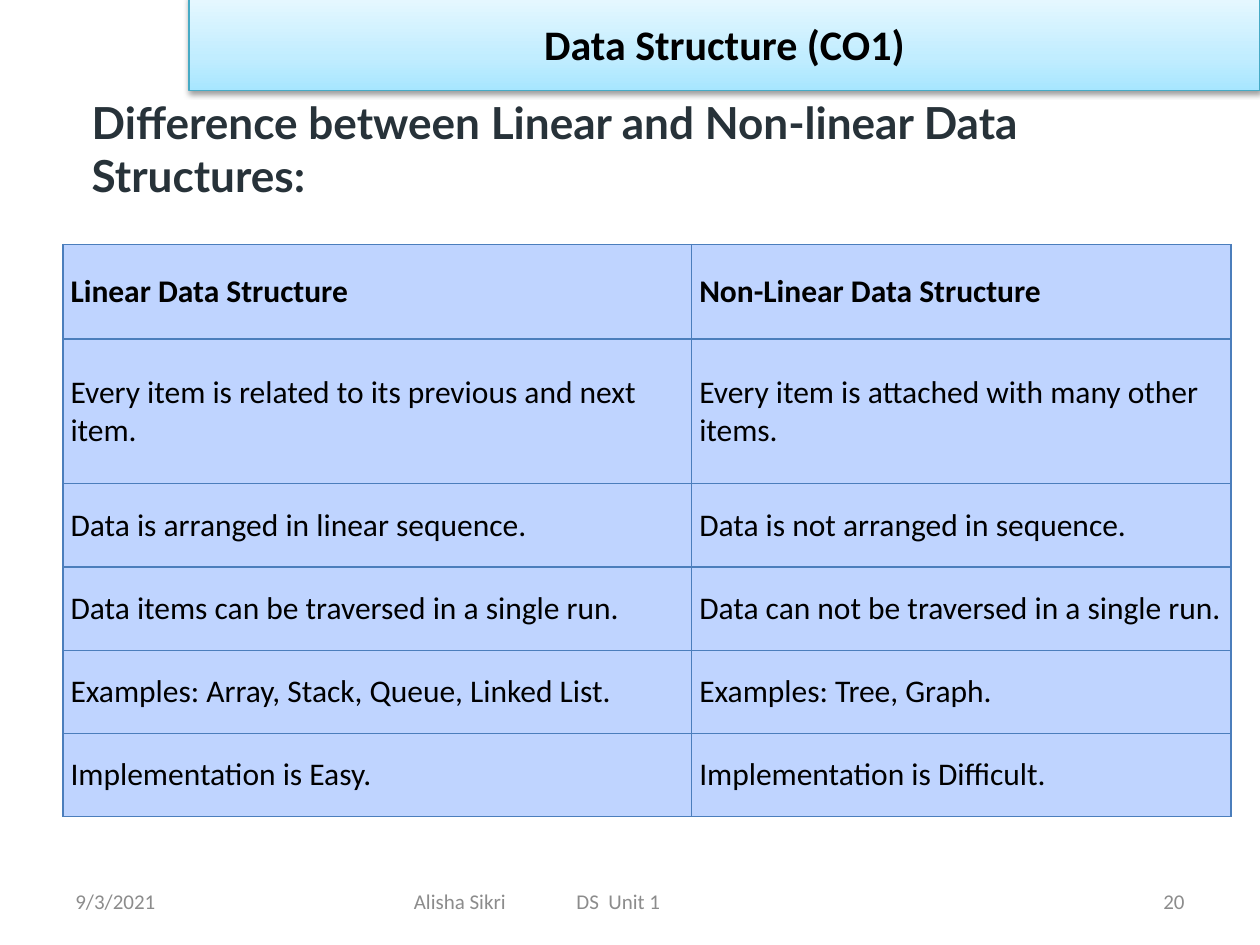
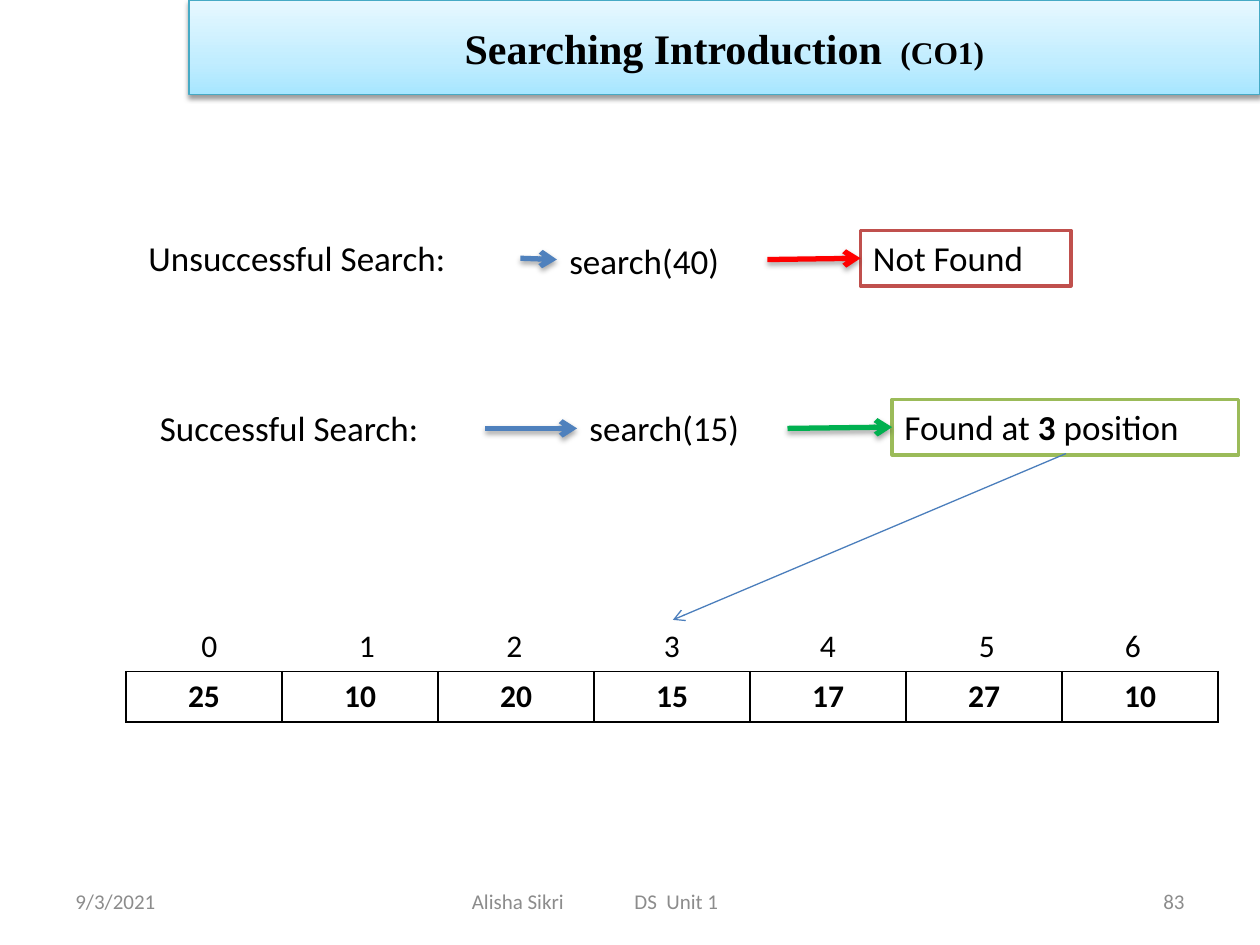
from copy import deepcopy
from dataclasses import dataclass

from lxml.etree import SubElement
from pptx import Presentation
from pptx.dml.color import RGBColor
from pptx.enum.shapes import MSO_CONNECTOR, MSO_SHAPE
from pptx.enum.text import MSO_ANCHOR, PP_ALIGN
from pptx.oxml.ns import qn
from pptx.util import Inches, Pt


@dataclass(frozen=True)
class Theme:
    """Colours, fonts and type sizes of the deck."""
    ink: str = "000000"
    heading: str = "273239"
    muted: str = "8C8C8C"
    white: str = "FFFFFF"
    blue: str = "4F81BD"
    thin_blue: str = "4B7EBC"
    red: str = "FF0000"
    green: str = "00B050"
    red_frame: str = "C0504D"
    green_frame: str = "9BBB59"
    cell: str = "BFD4FF"
    band_line: str = "46AAC5"
    band_stops: tuple = ((0, "A7E6FF"), (0.35, "C1EDFF"), (1, "E7F8FF"))
    body_font: str = "Calibri"
    heading_font: str = "Lato"
    serif_font: str = "Times New Roman"
    band_size: float = 24
    heading_size: float = 25.2
    label_size: float = 20
    table_size: float = 18
    footer_size: float = 12


THEME = Theme()


def write(frame, text, size=THEME.label_size, font=THEME.body_font, color=THEME.ink,
          bold=False, align=PP_ALIGN.LEFT, anchor=MSO_ANCHOR.TOP, tab=None):
    """Write a string, or (text, overrides) runs, as one formatted paragraph."""
    frame.word_wrap = True
    frame.vertical_anchor = anchor
    paragraph = frame.paragraphs[0]
    paragraph.alignment = align
    if tab:
        tabs = SubElement(paragraph._p.get_or_add_pPr(), qn("a:tabLst"))
        SubElement(tabs, qn("a:tab"), pos=str(Inches(tab)), algn="l")
    base = {"size": size, "font": font, "color": color, "bold": bold}
    for words, overrides in [(text, {})] if isinstance(text, str) else text:
        style = {**base, **overrides}
        run = paragraph.add_run()
        run.text = words
        run.font.size = Pt(style["size"])
        run.font.name = style["font"]
        run.font.bold = style["bold"]
        run.font.color.rgb = RGBColor.from_string(style["color"])


def add_shadow(effects, alpha, distance):
    """Put a soft black shadow below the element."""
    shadow = SubElement(effects, qn("a:outerShdw"), blurRad=str(Pt(3.1)),
                        dist=str(Pt(distance)), dir="5400000", rotWithShape="0")
    color = SubElement(shadow, qn("a:srgbClr"), val=THEME.ink)
    SubElement(color, qn("a:alpha"), val=str(alpha * 1000))


def set_borders(cell, color, width):
    """Draw the four borders of a table cell."""
    properties = cell._tc.get_or_add_tcPr()
    for side in ("lnL", "lnR", "lnT", "lnB"):
        line = SubElement(properties, qn(f"a:{side}"), w=str(Pt(width)))
        fill = SubElement(line, qn("a:solidFill"))
        SubElement(fill, qn("a:srgbClr"), val=color)


class Deck:
    """The presentation, its theme and the current slide."""

    def __init__(self, theme):
        """Start an empty 10 by 7.5 inch presentation."""
        self.theme = theme
        self.presentation = Presentation()
        self.presentation.slide_width = Inches(10)
        self.presentation.slide_height = Inches(7.5)
        self.slide = None

    def new_slide(self, title, number, top=0, footer_left=3.08, footer_width=3.5, **style):
        """Add a slide with its title band and footer."""
        layout = self.presentation.slide_layouts[6]
        self.slide = self.presentation.slides.add_slide(layout)
        self.band(title, top, **style)
        self.footer(number, footer_left, footer_width)

    def text(self, text, left, top, width, height, **style):
        """Add a text box."""
        box = self.slide.shapes.add_textbox(*map(Inches, (left, top, width, height)))
        write(box.text_frame, text, **style)
        return box

    def rectangle(self, text, left, top, width, height, line, line_width, **style):
        """Add a white outlined rectangle with text."""
        shape = self.slide.shapes.add_shape(
            MSO_SHAPE.RECTANGLE, *map(Inches, (left, top, width, height)))
        shape.shadow.inherit = False
        shape.fill.solid()
        shape.fill.fore_color.rgb = RGBColor.from_string(self.theme.white)
        shape.line.color.rgb = RGBColor.from_string(line)
        shape.line.width = Pt(line_width)
        write(shape.text_frame, text, **style)
        return shape

    def band(self, title, top, **style):
        """Add the gradient title band."""
        style = {"size": self.theme.band_size, "bold": True, **style}
        shape = self.rectangle(title, 1.5, top, 8.5, 0.75, self.theme.band_line, 0.75,
                               align=PP_ALIGN.CENTER, anchor=MSO_ANCHOR.MIDDLE, **style)
        shape.fill.gradient()
        shape.fill.gradient_angle = 90
        properties = shape.element.spPr
        stops = properties.find(f".//{qn('a:gsLst')}")
        stops.insert(1, deepcopy(stops[0]))
        for stop, (position, color) in zip(shape.fill.gradient_stops, self.theme.band_stops):
            stop.position = position
            stop.color.rgb = RGBColor.from_string(color)
        add_shadow(properties.find(qn("a:effectLst")), 38, 1.6)

    def footer(self, number, left, width):
        """Add the date, the author line and the slide number."""
        style = {"size": self.theme.footer_size, "color": self.theme.muted,
                 "anchor": MSO_ANCHOR.MIDDLE}
        self.text("9/3/2021", 0.5, 6.95, 2.33, 0.4, **style)
        author = self.text("Alisha Sikri\tDS  Unit 1", left, 6.95, width, 0.4, tab=1.29, **style)
        author.text_frame.margin_left = Inches((width - 3.09) / 2)
        self.text(str(number), 7.17, 6.95, 2.33, 0.4, align=PP_ALIGN.RIGHT, **style)

    def arrow(self, start, end, color, width=3, shadow=True):
        """Add a straight line with an open arrowhead at its end."""
        connector = self.slide.shapes.add_connector(
            MSO_CONNECTOR.STRAIGHT, *map(Inches, (*start, *end)))
        connector.line.color.rgb = RGBColor.from_string(color)
        connector.line.width = Pt(width)
        properties = connector.element.spPr
        SubElement(properties.find(qn("a:ln")), qn("a:tailEnd"), type="arrow")
        effects = SubElement(properties, qn("a:effectLst"))
        if shadow:
            add_shadow(effects, 35, 1.8)

    def table(self, rows, left, top, widths, heights, border, border_width,
              fill=None, margins=None, bold_rows=(0,), **style):
        """Add a plain bordered table."""
        frame = self.slide.shapes.add_table(
            len(rows), len(widths),
            *map(Inches, (left, top, sum(widths), sum(heights))))
        table = frame.table
        table.first_row = table.horz_banding = False
        for column, width in zip(table.columns, widths):
            column.width = Inches(width)
        for index, (values, height) in enumerate(zip(rows, heights)):
            table.rows[index].height = Inches(height)
            for cell, value in zip(table.rows[index].cells, values):
                set_borders(cell, border, border_width)
                if fill:
                    cell.fill.solid()
                    cell.fill.fore_color.rgb = RGBColor.from_string(fill)
                else:
                    cell.fill.background()
                if margins:
                    cell.margin_left = cell.margin_right = Inches(margins)
                    cell.margin_top = cell.margin_bottom = Inches(margins)
                write(cell.text_frame, value, size=self.theme.table_size,
                      bold=index in bold_rows, **style)
                cell.vertical_anchor = style.get("anchor", MSO_ANCHOR.TOP)


def build_comparison(deck):
    """Compare linear and non-linear data structures."""
    theme = deck.theme
    deck.new_slide("Data Structure (CO1)", 20, top=-0.03)
    deck.text("Difference between Linear and Non-linear Data Structures:",
              0.63, 0.73, 9, 0.89, size=theme.heading_size, font=theme.heading_font,
              color=theme.heading, bold=True, anchor=MSO_ANCHOR.MIDDLE)
    rows = [
        ("Linear Data Structure", "Non-Linear Data Structure"),
        ("Every item is related to its previous and next item.",
         "Every item is attached with many other items."),
        ("Data is arranged in linear sequence.", "Data is not arranged in sequence."),
        ("Data items can be traversed in a single run.",
         "Data can not be traversed in a single run."),
        ("Examples: Array, Stack, Queue, Linked List.", "Examples: Tree, Graph."),
        ("Implementation is Easy.", "Implementation is Difficult."),
    ]
    deck.table(rows, 0.5, 1.94, (4.99, 4.28), [0.75, 1.15] + [0.66] * 4,
               theme.thin_blue, 0.75, fill=theme.cell, margins=0.06,
               anchor=MSO_ANCHOR.MIDDLE)


def build_searching(deck):
    """Show an unsuccessful and a successful array search."""
    theme = deck.theme
    title = [("Searching Introduction ", {}), (" (CO1)", {"size": theme.table_size})]
    deck.new_slide(title, 83, footer_left=1.5, footer_width=7.58, font=theme.serif_font)

    deck.text("Unsuccessful Search:", 1.08, 1.83, 3.05, 0.44)
    deck.text("search(40)", 4.42, 1.85, 1.67, 0.44)
    deck.rectangle("Not Found", 6.83, 1.83, 1.67, 0.44, theme.red_frame, 2)
    deck.arrow((4.13, 2.05), (4.42, 2.06), theme.blue)
    deck.arrow((6.09, 2.06), (6.83, 2.05), theme.red)

    deck.text("Successful Search:", 1.17, 3.18, 2.68, 0.44)
    deck.text("search(15)", 4.58, 3.18, 1.67, 0.44)
    result = [("Found at ", {}), ("3", {"bold": True}), (" position", {})]
    deck.rectangle(result, 7.08, 3.17, 2.75, 0.44, theme.green_frame, 2)
    deck.arrow((3.85, 3.4), (4.58, 3.4), theme.blue)
    deck.arrow((6.25, 3.4), (7.08, 3.39), theme.green)
    deck.arrow((8.46, 3.6), (5.34, 4.92), theme.thin_blue, width=0.75, shadow=False)

    values = ("25", "10", "20", "15", "17", "27", "10")
    deck.table([values], 1, 5.33, [8.67 / len(values)] * len(values), [0.4],
               theme.ink, 1, align=PP_ALIGN.CENTER)
    for index, left in enumerate((1.5, 2.75, 3.92, 5.17, 6.41, 7.67, 8.83)):
        deck.text(str(index), left, 4.92, 0.34, 0.4, size=theme.table_size)


def main():
    """Build both slides and save the file."""
    deck = Deck(THEME)
    build_comparison(deck)
    build_searching(deck)
    deck.presentation.save("out.pptx")


if __name__ == "__main__":
    main()
